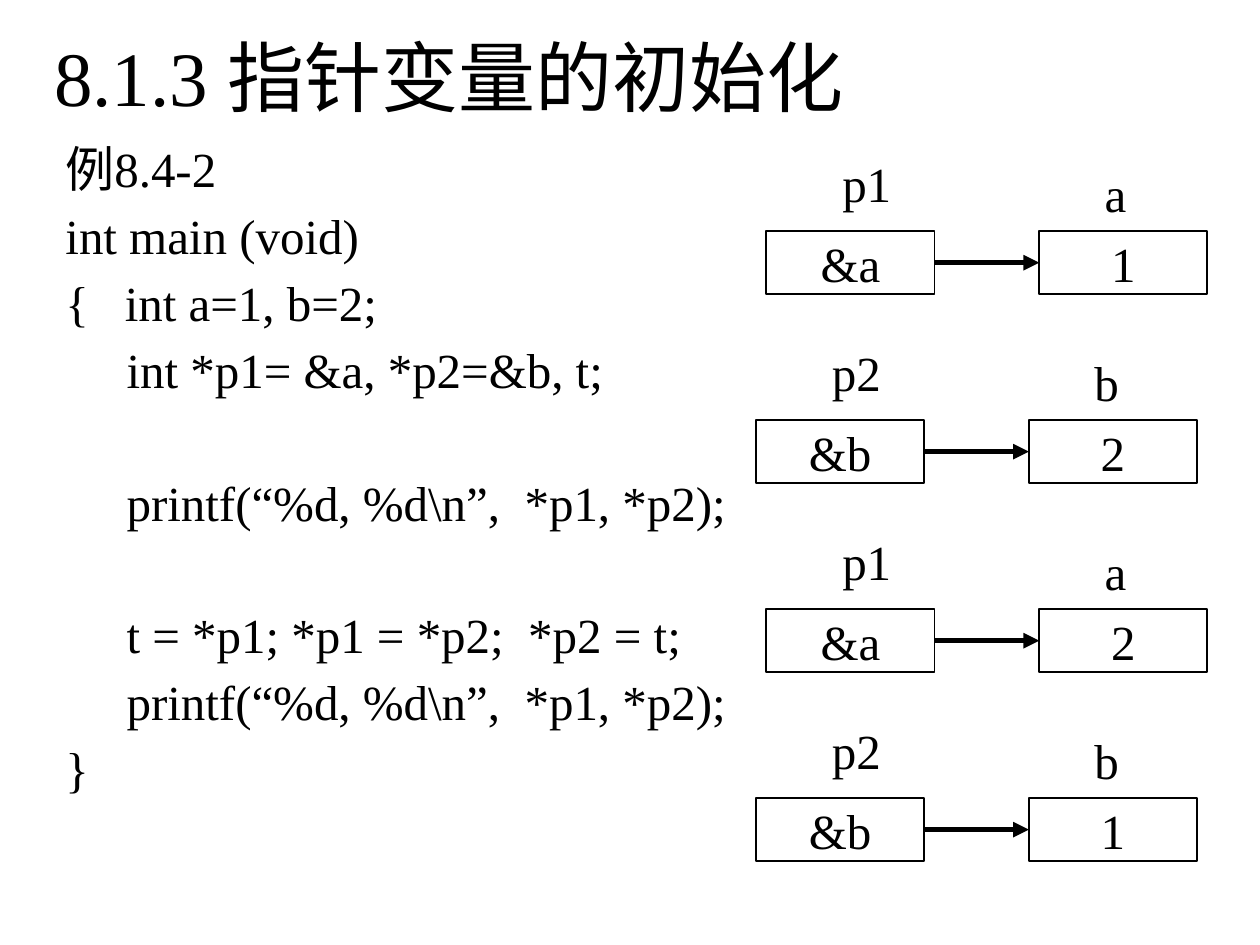
"""Build the slide on initialising pointer variables, with code and pointer diagrams."""
import pptx
import pptx.dml.color
import pptx.enum.shapes
import pptx.enum.text
import pptx.oxml.ns
import pptx.util
from lxml import etree

Cm = pptx.util.Cm
Pt = pptx.util.Pt
ANCHOR = pptx.enum.text.MSO_ANCHOR
ALIGN = pptx.enum.text.PP_ALIGN
AUTO_SIZE = pptx.enum.text.MSO_AUTO_SIZE
INK = "000000"


def color(hex_value):
    return pptx.dml.color.RGBColor.from_string(hex_value)


def write(part, lines, size, frame_format, paragraph_format):
    frame = part.text_frame
    for key, value in frame_format.items():
        setattr(frame, key, value)
    for index, line in enumerate(lines):
        paragraph = frame.add_paragraph() if index else frame.paragraphs[0]
        for key, value in paragraph_format.items():
            setattr(paragraph, key, value)
        run = paragraph.add_run()
        run.text = line
        for key, value in {"name": "Times New Roman", "size": Pt(size)}.items():
            setattr(run.font, key, value)
        run.font.color.rgb = color(INK)
    return frame


deck = pptx.Presentation()
deck.slide_width, deck.slide_height = Cm(25.4), Cm(19.05)
slide = deck.slides.add_slide(deck.slide_layouts[6])
shapes = slide.shapes

heading = shapes.add_textbox(Cm(0.84), Cm(0), Cm(21.39), Cm(3.07))
write(heading, ["8.1.3 指针变量的初始化"], 44,
      {"word_wrap": True, "vertical_anchor": ANCHOR.MIDDLE}, {})

code_lines = [
    "例8.4-2",
    "int main (void)",
    "{\t int a=1, b=2;",
    "     int *p1= &a, *p2=&b, t;",
    "     printf(“%d, %d\\n”,  *p1, *p2);",
    "     t = *p1; *p1 = *p2;  *p2 = t;",
    "     printf(“%d, %d\\n”,  *p1, *p2);",
    "}",
]
code = shapes.add_textbox(Cm(1.07), Cm(2.54), Cm(14.6), Cm(13.34))
code_frame = write(code, code_lines, 28, {"word_wrap": True}, {"line_spacing": 1.1})
for index, paragraph in enumerate(code_frame.paragraphs):
    indent = paragraph._p.get_or_add_pPr()
    indent.set("marL", str(Cm(0.95)))
    indent.set("indent", str(-Cm(0.95)))
    if index:
        paragraph.space_before = Pt(38.5 if index in (4, 5) else 1.5)

cell_width, cell_height = 3.39, 1.27
cell_format = {"word_wrap": False, "vertical_anchor": ANCHOR.MIDDLE}
label_format = {"word_wrap": False, "auto_size": AUTO_SIZE.SHAPE_TO_FIT_TEXT}
diagrams = [
    ("p1", "a", "1", 15.45),
    ("p2", "b", "2", 15.24),
    ("p1", "a", "2", 15.45),
    ("p2", "b", "1", 15.24),
]
for row, (pointer, variable, value, left) in enumerate(diagrams):
    top = 4.66 + 3.81 * row
    target_left = left + 5.5
    cells = []
    for cell_left, content in ((left, "&" + variable), (target_left, value)):
        cell = shapes.add_shape(pptx.enum.shapes.MSO_SHAPE.RECTANGLE, Cm(cell_left),
                                Cm(top), Cm(cell_width), Cm(cell_height))
        cell.shadow.inherit = False
        cell.fill.background()
        cell.line.color.rgb = color(INK)
        cell.line.width = Pt(1)
        write(cell, [content], 28, cell_format, {"alignment": ALIGN.CENTER})
        cells.append(cell)

    for label_left, rise, width, name in ((left + 1.28, 1.69, 1.5, pointer),
                                          (target_left + 1.07, 1.48, 0.96, variable)):
        label = shapes.add_textbox(Cm(label_left), Cm(top - rise), Cm(width), Cm(1.45))
        write(label, [name], 28, label_format, {})

    arrow = shapes.add_connector(pptx.enum.shapes.MSO_CONNECTOR.STRAIGHT, 0, 0, 0, 0)
    arrow.begin_connect(cells[0], 3)
    arrow.end_connect(cells[1], 1)
    arrow.line.color.rgb = color(INK)
    arrow.line.width = Pt(3)
    head = etree.SubElement(arrow.line._get_or_add_ln(), pptx.oxml.ns.qn("a:tailEnd"))
    head.set("type", "triangle")
    etree.SubElement(arrow._element.spPr, pptx.oxml.ns.qn("a:effectLst"))

deck.save("out.pptx")
